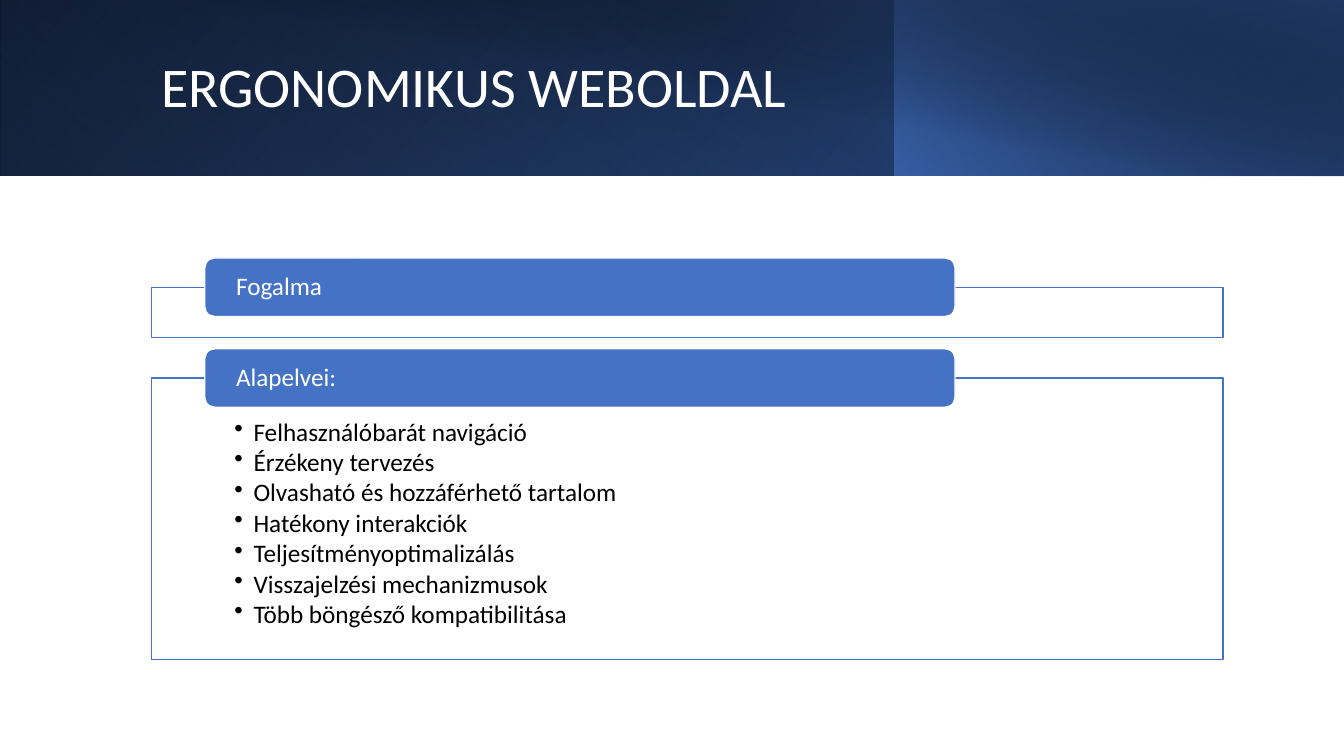
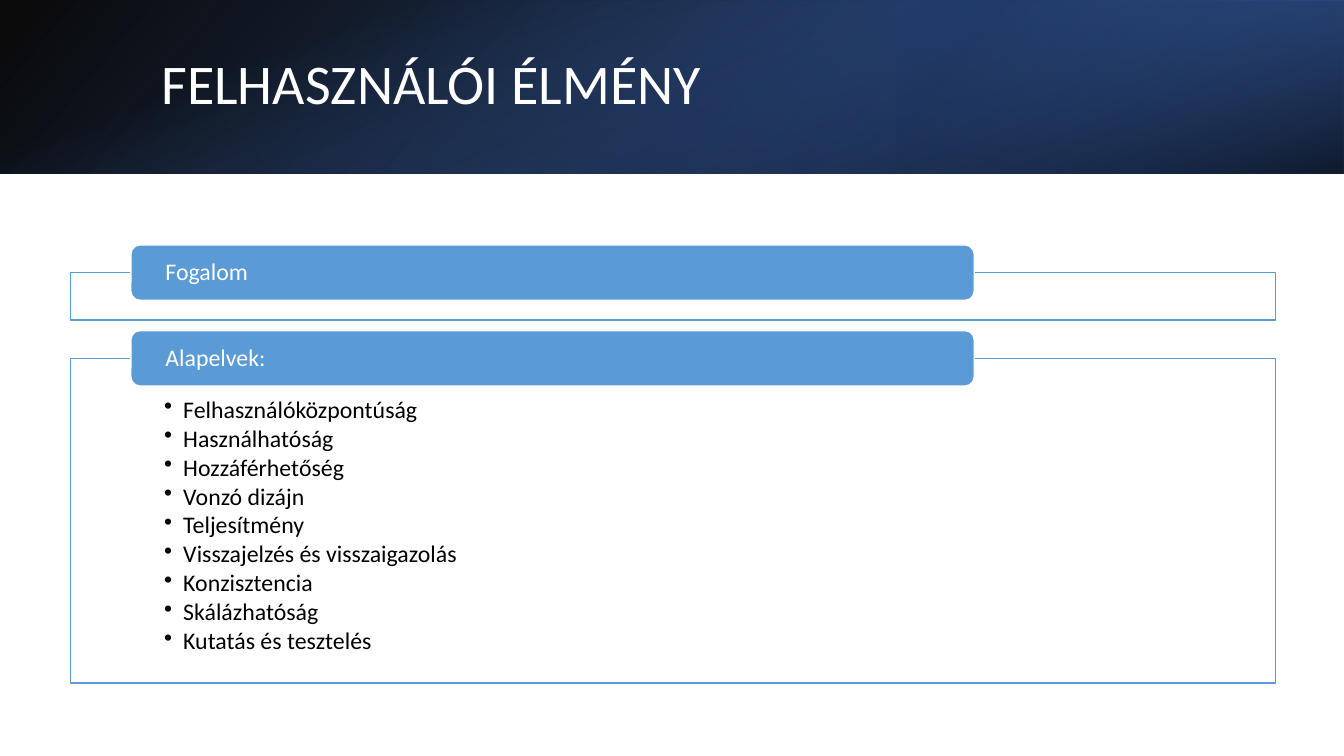
from dataclasses import dataclass

import lxml.etree
import pptx
import pptx.dml.color
import pptx.enum.shapes
import pptx.enum.text
import pptx.oxml.ns
import pptx.presentation
import pptx.shapes.autoshape
import pptx.slide
import pptx.text.text
import pptx.util

Inches = pptx.util.Inches
Pt = pptx.util.Pt
RGBColor = pptx.dml.color.RGBColor
Shapes = pptx.enum.shapes.MSO_SHAPE
Anchor = pptx.enum.text.MSO_ANCHOR
qn = pptx.oxml.ns.qn

WHITE = RGBColor(0xFF, 0xFF, 0xFF)
BLACK = RGBColor(0x00, 0x00, 0x00)
BLUE = RGBColor(0x44, 0x72, 0xC4)
LIGHT_BLUE = RGBColor(0x5B, 0x9B, 0xD5)
DEEP_BLUE = RGBColor(0x2F, 0x55, 0x97)
NAVY = RGBColor(0x20, 0x38, 0x64)

FONT = "Calibri"
SLIDE_WIDTH, SLIDE_HEIGHT = 13.33, 7.5
TITLE_LEFT, TITLE_SIZE = 1.5, 40
BULLET_INDENT = 0.19
# Proportions of the list, as shares of the frame width
TAB_OFFSET, TAB_WIDTH, TAB_INSET, BODY_INSET = 0.05, 0.7, 0.0265, 0.0776


@dataclass(frozen=True)
class Stop:
    position: int
    color: RGBColor
    opacity: int = 100


@dataclass(frozen=True)
class Band:
    left: float
    top: float
    width: float
    height: float
    angle: int
    stops: tuple[Stop, Stop]
    rotation: int = 0
    flipped: bool = True


@dataclass(frozen=True)
class Section:
    heading: str
    tab_top: float
    frame_height: float
    items: tuple[str, ...] = ()


@dataclass(frozen=True)
class ListStyle:
    left: float
    width: float
    tab_height: float
    size: int
    top_inset: float
    color: RGBColor


@dataclass(frozen=True)
class Page:
    title: str
    title_top: float
    title_width: float
    title_height: float
    bands: tuple[Band, ...]
    style: ListStyle
    sections: tuple[Section, ...]


PAGES = (
    Page(
        "ERGONOMIKUS WEBOLDAL", 0.32, 10.82, 1.13,
        (
            Band(0, 0, SLIDE_WIDTH, 1.74, 140, (Stop(0, BLACK), Stop(100, DEEP_BLUE))),
            Band(0, 0, 8.88, 1.74, 230, (Stop(20, BLUE, 0), Stop(100, NAVY, 55)), rotation=180),
            Band(8.87, 0, 4.46, 1.74, 220, (Stop(0, BLUE, 66), Stop(100, BLACK, 30))),
            Band(0.5, 0, 12.83, 1.75, 280, (Stop(50, BLACK, 0), Stop(99, NAVY, 52)), flipped=False),
        ),
        ListStyle(1.5, 10.63, 0.58, 18, 0.41, BLUE),
        (
            Section("Fogalma", 2.56, 0.5),
            Section("Alapelvei:", 3.46, 2.79, (
                "Felhasználóbarát navigáció",
                "Érzékeny tervezés",
                "Olvasható és hozzáférhető tartalom",
                "Hatékony interakciók",
                "Teljesítményoptimalizálás",
                "Visszajelzési mechanizmusok",
                "Több böngésző kompatibilitása",
            )),
        ),
    ),
    Page(
        "FELHASZNÁLÓI ÉLMÉNY", 0.38, 10.98, 0.96,
        (
            Band(0, 0, SLIDE_WIDTH, 1.72, 140, (Stop(0, BLACK, 96), Stop(100, DEEP_BLUE))),
            Band(8.89, 0, 4.44, 1.72, 320, (Stop(19, NAVY, 68), Stop(100, BLUE, 79)), rotation=180),
            Band(5.8, -5.8, 1.72, SLIDE_WIDTH, 340, (Stop(23, BLUE, 0), Stop(99, BLACK, 74)),
                 rotation=90, flipped=False),
        ),
        ListStyle(0.7, 11.95, 0.55, 17, 0.39, LIGHT_BLUE),
        (
            Section("Fogalom", 2.43, 0.47),
            Section("Alapelvek:", 3.28, 3.22, (
                "Felhasználóközpontúság",
                "Használhatóság",
                "Hozzáférhetőség",
                "Vonzó dizájn",
                "Teljesítmény",
                "Visszajelzés és visszaigazolás",
                "Konzisztencia",
                "Skálázhatóság",
                "Kutatás és tesztelés",
            )),
        ),
    ),
)


def add_alpha(color_element: lxml.etree._Element, opacity: int) -> None:
    alpha = lxml.etree.SubElement(color_element, qn("a:alpha"))
    alpha.set("val", str(opacity * 1000))


def add_bullet(para: pptx.text.text._Paragraph) -> None:
    properties = para._p.get_or_add_pPr()
    properties.set("marL", str(Inches(BULLET_INDENT)))
    properties.set("indent", str(-Inches(BULLET_INDENT)))
    lxml.etree.SubElement(properties, qn("a:buChar")).set("char", "•")


def write_text(frame: pptx.text.text.TextFrame, lines: tuple[str, ...], *, size: int,
               color: RGBColor, anchor: Anchor = Anchor.MIDDLE, side_inset: float = 0.1,
               top_inset: float = 0, bulleted: bool = False, space_after: float = 0) -> None:
    frame.word_wrap = True
    frame.auto_size = pptx.enum.text.MSO_AUTO_SIZE.NONE
    frame.vertical_anchor = anchor
    frame.margin_left = frame.margin_right = Inches(side_inset)
    frame.margin_top, frame.margin_bottom = Inches(top_inset), 0
    for index, line in enumerate(lines):
        para = frame.add_paragraph() if index else frame.paragraphs[0]
        para.alignment = pptx.enum.text.PP_ALIGN.LEFT
        para.line_spacing = 0.9
        para.space_before = Pt(0)
        para.space_after = Pt(space_after)
        if bulleted:
            add_bullet(para)
        span = para.add_run()
        span.text = line
        span.font.name = FONT
        span.font.size = Pt(size)
        span.font.color.rgb = color


def add_box(slide: pptx.slide.Slide, kind: Shapes, left: float, top: float,
            width: float, height: float) -> pptx.shapes.autoshape.Shape:
    box = slide.shapes.add_shape(kind, Inches(left), Inches(top), Inches(width), Inches(height))
    box.shadow.inherit = False
    return box


def paint(box: pptx.shapes.autoshape.Shape, fill: RGBColor, line: RGBColor) -> None:
    box.fill.solid()
    box.fill.fore_color.rgb = fill
    box.line.color.rgb = line
    box.line.width = Pt(1)


def add_band(slide: pptx.slide.Slide, band: Band) -> None:
    box = add_box(slide, Shapes.RECTANGLE, band.left, band.top, band.width, band.height)
    box.rotation = band.rotation
    box.line.fill.background()
    properties = box._element.spPr
    if band.flipped:
        properties.find(qn("a:xfrm")).set("flipH", "1")
    gradient = lxml.etree.Element(qn("a:gradFill"), rotWithShape="1")
    stop_list = lxml.etree.SubElement(gradient, qn("a:gsLst"))
    for stop in band.stops:
        entry = lxml.etree.SubElement(stop_list, qn("a:gs"), pos=str(stop.position * 1000))
        color = lxml.etree.SubElement(entry, qn("a:srgbClr"), val=str(stop.color))
        add_alpha(color, stop.opacity)
    lxml.etree.SubElement(gradient, qn("a:lin"), ang=str(band.angle * 60000), scaled="0")
    properties.find(qn("a:prstGeom")).addnext(gradient)


def add_title(slide: pptx.slide.Slide, page: Page) -> None:
    """Place the title placeholder in front of the bands."""
    title = slide.shapes.title
    title.left, title.top = Inches(TITLE_LEFT), Inches(page.title_top)
    title.width, title.height = Inches(page.title_width), Inches(page.title_height)
    write_text(title.text_frame, (page.title,), size=TITLE_SIZE, color=WHITE)
    slide.shapes._spTree.append(title._element)


def add_section(slide: pptx.slide.Slide, section: Section, style: ListStyle) -> None:
    """Draw a frame with its items and a heading tab across its top edge."""
    frame = add_box(slide, Shapes.RECTANGLE, style.left, section.tab_top + style.tab_height / 2,
                    style.width, section.frame_height)
    paint(frame, WHITE, style.color)
    add_alpha(frame._element.spPr.find(qn("a:solidFill"))[0], 90)
    if section.items:
        write_text(frame.text_frame, section.items, size=style.size, color=BLACK,
                   anchor=Anchor.TOP, side_inset=style.width * BODY_INSET,
                   top_inset=style.top_inset, bulleted=True, space_after=2.3)
    tab = add_box(slide, Shapes.ROUNDED_RECTANGLE, style.left + style.width * TAB_OFFSET,
                  section.tab_top, style.width * TAB_WIDTH, style.tab_height)
    paint(tab, style.color, WHITE)
    write_text(tab.text_frame, (section.heading,), size=style.size, color=WHITE,
               side_inset=style.width * TAB_INSET)


def add_page(deck: pptx.presentation.Presentation, page: Page) -> None:
    slide = deck.slides.add_slide(deck.slide_layouts.get_by_name("Title Only"))
    for band in page.bands:
        add_band(slide, band)
    add_title(slide, page)
    for section in page.sections:
        add_section(slide, section, page.style)


def main() -> None:
    deck = pptx.Presentation()
    deck.slide_width, deck.slide_height = Inches(SLIDE_WIDTH), Inches(SLIDE_HEIGHT)
    for page in PAGES:
        add_page(deck, page)
    deck.save("out.pptx")


if __name__ == "__main__":
    main()
